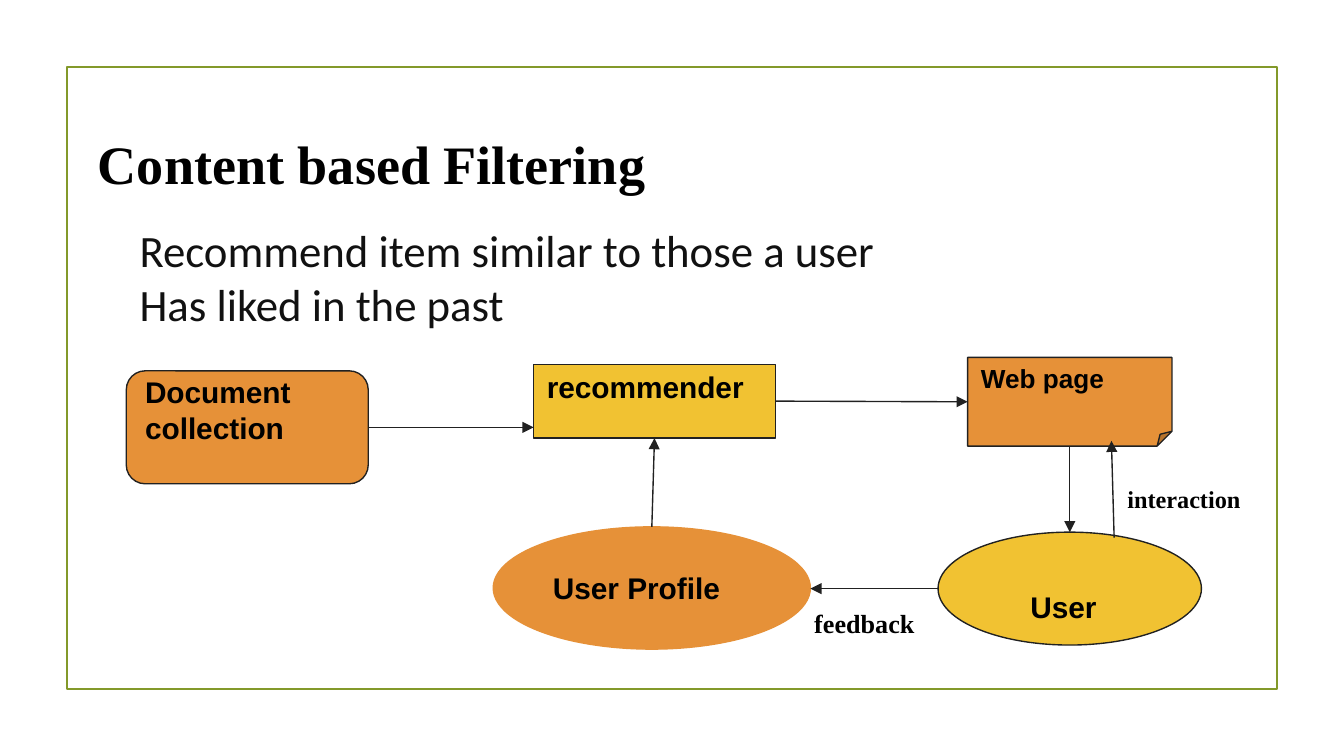
from lxml import etree
from pptx import Presentation
from pptx.dml.color import RGBColor
from pptx.enum.shapes import MSO_CONNECTOR, MSO_SHAPE
from pptx.enum.text import MSO_ANCHOR, PP_ALIGN
from pptx.oxml.ns import qn
from pptx.util import Inches, Pt

ORANGE, YELLOW, INK, BLACK = "E69138", "F1C232", "212121", "000000"
SERIF = "Times New Roman"
TOP, LEFT, BOTTOM, RIGHT = range(4)


def color(hex_text):
    return RGBColor.from_string(hex_text)


def write(shape, text, size, font, ink=BLACK, bold=True, left=0.1, top=0.1,
          anchor=MSO_ANCHOR.TOP):
    frame = shape.text_frame
    frame.word_wrap = True
    frame.vertical_anchor = anchor
    frame.margin_left, frame.margin_top = Inches(left), Inches(top)
    frame.margin_right = frame.margin_bottom = Inches(0.1)
    frame.text = text
    for para in frame.paragraphs:
        para.alignment = PP_ALIGN.LEFT
        for span in para.runs:
            span.font.size = Pt(size)
            span.font.name = font
            span.font.bold = bold
            span.font.color.rgb = color(ink)


def add_label(page, box, text, size, font=SERIF, **style):
    label = page.shapes.add_textbox(*map(Inches, box))
    write(label, text, size, font, **style)


def add_node(page, kind, box, fill, text, size=16, line=INK, **style):
    node = page.shapes.add_shape(kind, *map(Inches, box))
    node.shadow.inherit = False
    node.fill.solid()
    node.fill.fore_color.rgb = color(fill)
    node.line.color.rgb = color(line)
    node.line.width = Pt(0.75)
    write(node, text, size, "Arial", **style)
    return node


def add_arrow(page, start, end, source=None, target=None):
    """Draw an arrow; source and target are optional (node, side) joints."""
    arrow = page.shapes.add_connector(
        MSO_CONNECTOR.STRAIGHT, *map(Inches, (*start, *end)))
    if source:
        arrow.begin_connect(*source)
    if target:
        arrow.end_connect(*target)
    arrow.line.color.rgb = color(INK)
    arrow.line.width = Pt(0.75)
    etree.SubElement(arrow.line._get_or_add_ln(), qn("a:tailEnd"), type="triangle")
    etree.SubElement(arrow._element.spPr, qn("a:effectLst"))


def add_border(page, box):
    border = page.shapes.add_shape(MSO_SHAPE.RECTANGLE, *map(Inches, box))
    border.shadow.inherit = False
    border.fill.background()
    border.line.color.rgb = color("83992A")
    border.line.width = Pt(1.25)


def add_heading(page, box):
    left, top, width, height = box
    add_label(page, (left, top, width, 0.69), "Content based Filtering", 29)
    add_label(page, (left + 0.31, top + 0.69, width - 0.62, height - 0.69),
              "Recommend item similar to those a user\nHas liked in the past",
              24, "Calibri", ink="111111", bold=False)


def add_diagram(page, box):
    left, top, _, _ = box

    def at(x, y, *size):
        return (left + x, top + y, *size)

    documents = add_node(page, MSO_SHAPE.ROUNDED_RECTANGLE, at(0, 0.1, 1.8, 0.84),
                         ORANGE, "Document\ncollection", top=-0.02)
    recommender = add_node(page, MSO_SHAPE.RECTANGLE, at(3.03, 0.05, 1.8, 0.55),
                           YELLOW, "recommender", top=0.03)
    web_page = add_node(page, MSO_SHAPE.FOLDED_CORNER, at(6.26, 0, 1.52, 0.66),
                        ORANGE, "Web page", size=14, top=0.04)
    add_node(page, MSO_SHAPE.OVAL, at(6.04, 1.3, 1.96, 0.84), YELLOW, "User",
             left=0.4, top=0.3)
    add_node(page, MSO_SHAPE.OVAL, at(2.73, 1.26, 2.36, 0.91), ORANGE,
             "User Profile", line=ORANGE, anchor=MSO_ANCHOR.MIDDLE)

    add_arrow(page, at(1.8, 0.52), at(3.03, 0.52), source=(documents, RIGHT))
    add_arrow(page, at(4.83, 0.33), at(6.26, 0.33),
              (recommender, RIGHT), (web_page, LEFT))
    add_arrow(page, at(7.02, 0.66), at(7.02, 1.3), source=(web_page, BOTTOM))
    add_arrow(page, at(7.35, 1.34), at(7.33, 0.62))
    add_arrow(page, at(6.04, 1.72), at(5.09, 1.72))
    add_arrow(page, at(3.91, 1.26), at(3.93, 0.6), target=(recommender, BOTTOM))

    add_label(page, at(7.35, 0.84, 1.05, 0.42), "interaction", 13)
    add_label(page, at(5.02, 1.76, 1.05, 0.44), "feedback", 14)


def main():
    deck = Presentation()
    deck.slide_width = Inches(10)
    deck.slide_height = deck.slide_width * 9 // 16
    page = deck.slides.add_slide(deck.slide_layouts[6])
    add_border(page, (0.5, 0.5, 9, 4.63))
    add_heading(page, (0.63, 0.87, 7.69, 1.7))
    add_diagram(page, (0.94, 2.66, 8.4, 2.2))
    deck.save("out.pptx")


if __name__ == "__main__":
    main()
